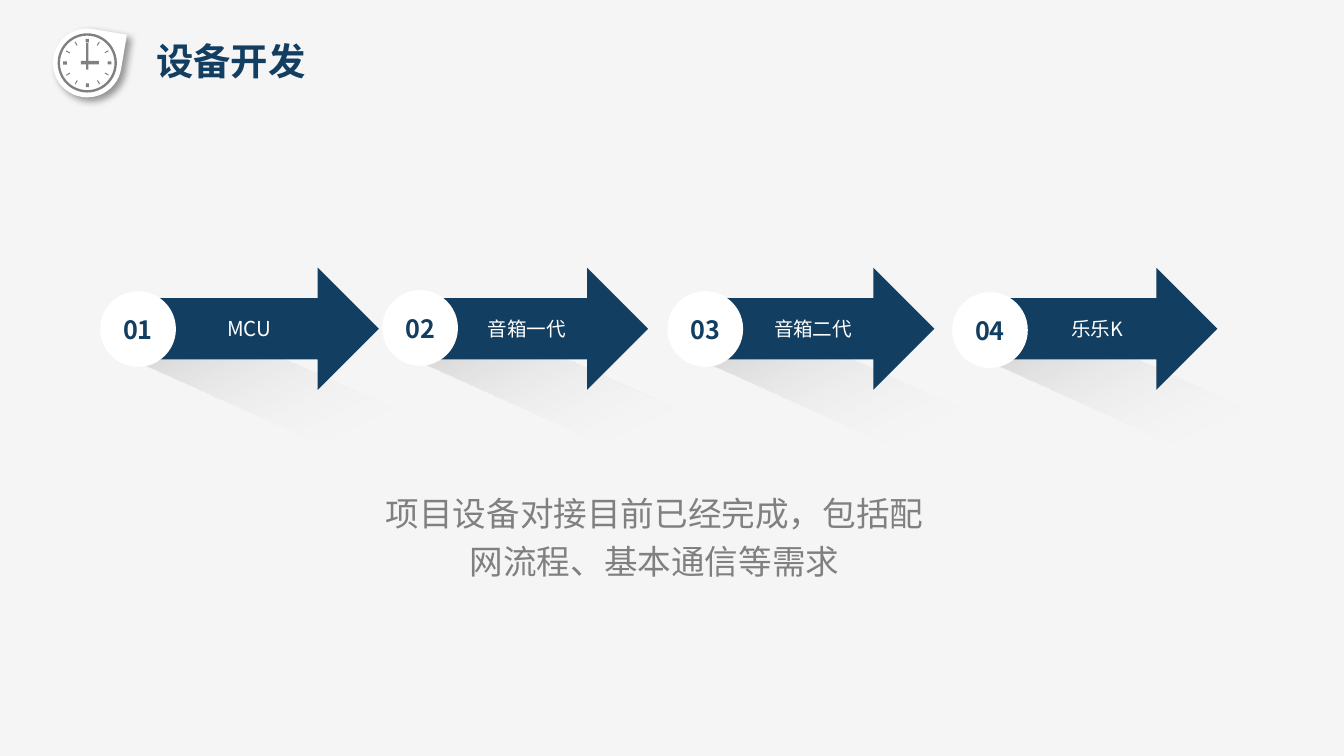
import math
from lxml import etree
from pptx import Presentation, util as u
from pptx.dml.color import RGBColor
from pptx.enum import shapes, text
from pptx.oxml import parse_xml
from pptx.oxml.ns import qn

Cm, Kind = u.Cm, shapes.MSO_SHAPE
NS = 'xmlns:a="http://schemas.openxmlformats.org/drawingml/2006/main"'
FONT = "Noto Sans CJK SC"
NAVY, GRAY, WHITE, PAPER = "123E61", "808080", "FFFFFF", "F5F5F6"


def tint(hue):
    """Turn a hex string into a colour."""
    return RGBColor.from_string(hue)


def draw(kind, x, y, w, h, hue, turn=0):
    """Add a plain filled shape; lengths in cm."""
    shape = slide.shapes.add_shape(kind, Cm(x), Cm(y), Cm(w), Cm(h))
    shape.shadow.inherit = False
    shape.fill.solid()
    shape.fill.fore_color.rgb = tint(hue)
    shape.line.fill.background()
    shape.rotation = turn
    return shape


def write(shape, words, size, hue, bold=False, center=True, pad=None):
    """Put one styled paragraph into a shape; pad is left, top, right, bottom."""
    frame = shape.text_frame
    frame.text = words
    frame.word_wrap = True
    if pad:
        (frame.margin_left, frame.margin_top,
         frame.margin_right, frame.margin_bottom) = map(Cm, pad)
    line = frame.paragraphs[0]
    line.alignment = text.PP_ALIGN.CENTER if center else text.PP_ALIGN.LEFT
    for run in line.runs:
        font = run.font
        font.name, font.size, font.bold = FONT, u.Pt(size), bold
        font.color.rgb = tint(hue)
        etree.SubElement(font._element, qn("a:ea")).set("typeface", FONT)
    return line


def clock(x, y, size):
    """Draw the clock badge in a square box."""
    drop = draw(Kind.TEAR, x, y, size, size, WHITE, 9.5)
    props = drop._element.spPr
    props.remove(props.find(qn("a:effectLst")))
    props.append(parse_xml(
        f'<a:effectLst {NS}><a:outerShdw blurRad="50800" dist="38100" '
        'dir="2700000" algn="tl" rotWithShape="0"><a:srgbClr val="000000">'
        '<a:alpha val="40000"/></a:srgbClr></a:outerShdw></a:effectLst>'))
    mid_x, mid_y = x + size / 2, y + size / 2
    ring = draw(Kind.DONUT, mid_x - 0.56, mid_y - 0.56, 1.12, 1.12, GRAY)
    ring.adjustments[0] = 0.04
    for hour in range(12):
        turn = hour * 30
        wide, tall = (0.06, 0.07) if hour % 3 == 0 else (0.02, 0.08)
        tick_x = mid_x + 0.42 * math.sin(math.radians(turn))
        tick_y = mid_y - 0.42 * math.cos(math.radians(turn))
        draw(Kind.RECTANGLE, tick_x - wide / 2, tick_y - tall / 2,
             wide, tall, GRAY, turn)
    draw(Kind.RECTANGLE, mid_x - 0.02, mid_y - 0.38, 0.04, 0.51, GRAY)
    draw(Kind.RECTANGLE, mid_x - 0.12, mid_y - 0.04, 0.34, 0.07, GRAY)


def header(x, y, words):
    """Draw the badge and the title beside it."""
    clock(x, y, 1.3)
    box = slide.shapes.add_textbox(Cm(x + 1.8), Cm(y + 0.1), Cm(5.46), Cm(1))
    write(box, words, 20, NAVY, True, False, (0.15, 0.08, 0.15, 0.08))


def shade(x, y):
    """Draw the long fading shadow of one step."""
    bar = draw(Kind.RECTANGLE, x, y, 10.34, 1.19, WHITE, 24.2)
    props = bar._element.spPr
    props.replace(props.find(qn("a:solidFill")), parse_xml(
        f'<a:gradFill {NS} rotWithShape="1"><a:gsLst>'
        '<a:gs pos="0"><a:srgbClr val="BFBFBF"/></a:gs>'
        '<a:gs pos="54000"><a:srgbClr val="FFFFFF"><a:alpha val="0"/>'
        '</a:srgbClr></a:gs></a:gsLst><a:lin ang="2400000" scaled="0"/>'
        '</a:gradFill>'))


def step(x, y, gap, width, drop, mark, words, size):
    """Draw one arrow with its number disc at the left."""
    arrow = draw(Kind.RIGHT_ARROW, x + gap, y, width, 2.31, NAVY)
    write(arrow, words, size, WHITE, pad=(1.12, 0, 0.53, 0))
    disc = draw(Kind.OVAL, x, y + drop, 1.36, 1.36, WHITE)
    disc.line.color.rgb = tint(WHITE)
    disc.line.width = u.Pt(2)
    write(disc, mark, 13.5, NAVY, True, pad=(0, 0, 0, 0))


def flow(y, steps):
    """Draw all shadows, then all steps in a row."""
    for x, *_ in steps:
        shade(x + 0.08, y + 2.6)
    for num, (x, gap, width, drop, words, size) in enumerate(steps, 1):
        step(x, y, gap, width, drop, f"{num:02}", words, size)


def note(x, y, w, h, words):
    """Write the closing remark."""
    box = slide.shapes.add_textbox(Cm(x), Cm(y), Cm(w), Cm(h))
    write(box, words, 18, GRAY).line_spacing = 1.2


deck = Presentation()
deck.slide_width, deck.slide_height = Cm(25.4), Cm(14.29)
slide = deck.slides.add_slide(deck.slide_layouts[6])
slide.background.fill.solid()
slide.background.fill.fore_color.rgb = tint(PAPER)

header(1, 0.54, "设备开发")
flow(5.06, [
    (1.93, 0.33, 4.9, 0.48, "MCU", 11),
    (7.26, 0.39, 4.6, 0.46, "音箱一代", 10.5),
    (12.65, 0.41, 4.6, 0.48, "音箱二代", 10.5),
    (18.03, 0.41, 4.57, 0.5, "乐乐K", 10.5),
])
note(7.01, 9.04, 10.72, 2.11, "项目设备对接目前已经完成，包括配网流程、基本通信等需求")
deck.save("out.pptx")
